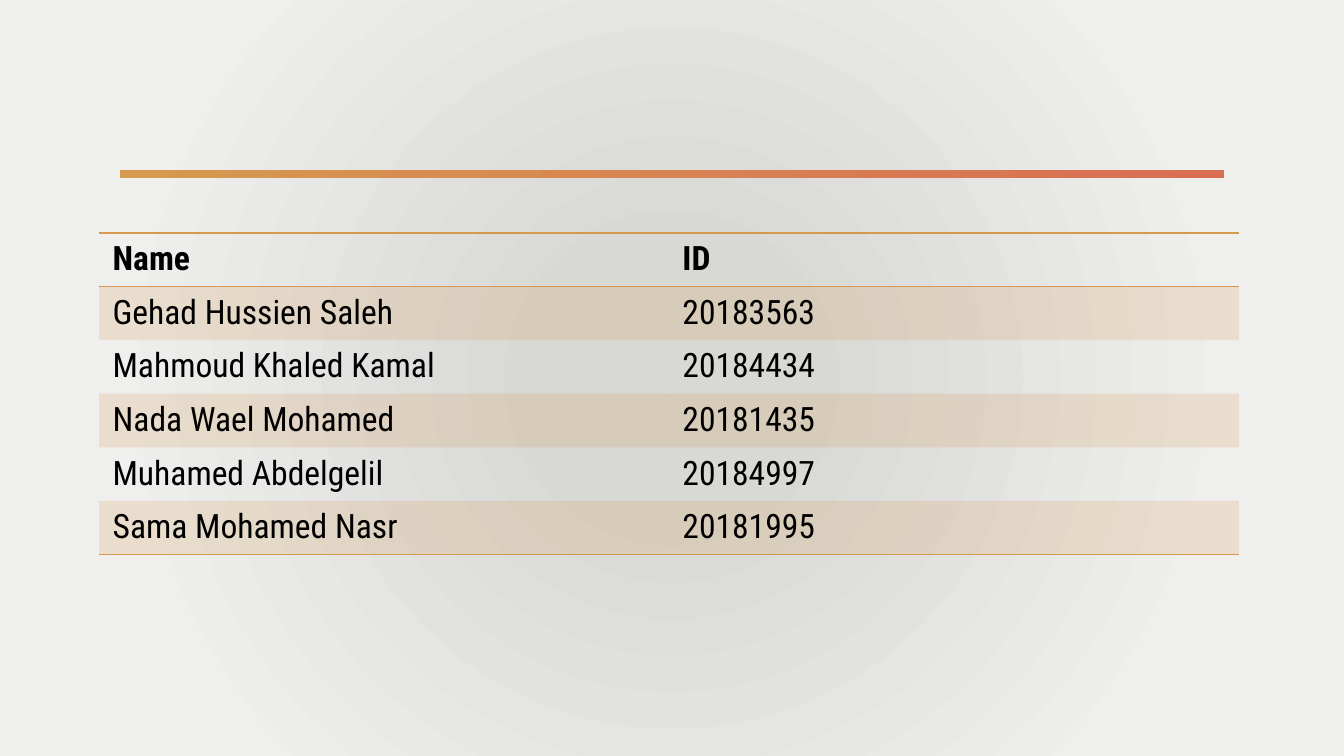
from lxml import etree
from pptx import Presentation
from pptx import util as u
from pptx.dml.color import RGBColor
from pptx.enum import shapes
from pptx.oxml.ns import qn

WIDTH = u.Inches(10)
HEIGHT = WIDTH * 9 // 16
AMBER = RGBColor(0xD6, 0x99, 0x4F)
CORAL = RGBColor(0xD9, 0x6E, 0x54)
GREY = RGBColor(0xD8, 0xD8, 0xD5)
PALE = RGBColor(0xEF, 0xEF, 0xEE)
BLACK = RGBColor(0, 0, 0)
FONT = "Roboto Condensed"
PLAIN_TABLE = "{2D5ABB26-0587-4C30-8999-92F81FD0307C}"
MEMBERS = [
    ("Name", "ID"),
    ("Gehad Hussien Saleh", "20183563"),
    ("Mahmoud Khaled Kamal", "20184434"),
    ("Nada Wael Mohamed", "20181435"),
    ("Muhamed Abdelgelil", "20184997"),
    ("Sama Mohamed Nasr", "20181995"),
]


def percent_box(left, top, width, height):
    return [
        int(WIDTH * left / 100),
        int(HEIGHT * top / 100),
        int(WIDTH * width / 100),
        int(HEIGHT * height / 100),
    ]


def set_gradient(fill, stops):
    fill.gradient()
    for stop, (position, colour) in zip(fill.gradient_stops, stops):
        stop.position = position
        stop.color.rgb = colour


def paint_background(page):
    fill = page.background.fill
    set_gradient(fill, [(0.17, GREY), (0.74, PALE)])
    gradient = page.background._cSld.find(".//" + qn("a:gradFill"))
    gradient.remove(gradient.find(qn("a:lin")))
    circle = etree.SubElement(gradient, qn("a:path"), path="circle")
    etree.SubElement(circle, qn("a:fillToRect"), l="50000", t="50000", r="50000", b="50000")


def add_bar(page, box):
    bar = page.shapes.add_shape(shapes.MSO_SHAPE.RECTANGLE, *box)
    bar.shadow.inherit = False
    bar.line.fill.background()
    set_gradient(bar.fill, [(0, AMBER), (1, CORAL)])
    bar.fill.gradient_angle = 0


def add_border(cell, side):
    line = etree.SubElement(cell._tc.get_or_add_tcPr(), qn("a:" + side), w=str(u.Pt(1)))
    solid = etree.SubElement(line, qn("a:solidFill"))
    etree.SubElement(solid, qn("a:srgbClr"), val=str(AMBER))


def shade(cell, opacity):
    cell.fill.solid()
    cell.fill.fore_color.rgb = AMBER
    colour = cell._tc.tcPr.find(qn("a:solidFill")).find(qn("a:srgbClr"))
    etree.SubElement(colour, qn("a:alpha"), val=str(opacity * 1000))


def add_members(page, box, rows):
    table = page.shapes.add_table(len(rows), len(rows[0]), *box).table
    table.horz_banding = False
    table._tbl.tblPr.find(qn("a:tableStyleId")).text = PLAIN_TABLE
    for row, values in enumerate(rows):
        for column, value in enumerate(values):
            cell = table.cell(row, column)
            cell.text_frame.text = value
            font = cell.text_frame.paragraphs[0].runs[0].font
            font.name, font.size, font.bold = FONT, u.Pt(18), row == 0
            font.color.rgb = BLACK
            if row == 0:
                add_border(cell, "lnT")
            if row in (0, len(rows) - 1):
                add_border(cell, "lnB")
            if row % 2:
                shade(cell, 20)
            else:
                cell.fill.background()


def main():
    deck = Presentation()
    deck.slide_width, deck.slide_height = WIDTH, HEIGHT
    page = deck.slides.add_slide(deck.slide_layouts[6])
    paint_background(page)
    add_bar(page, percent_box(8.93, 22.45, 82.14, 1.07))
    add_members(page, percent_box(7.38, 30.8, 84.8, 42.58), MEMBERS)
    deck.save("out.pptx")


if __name__ == "__main__":
    main()
